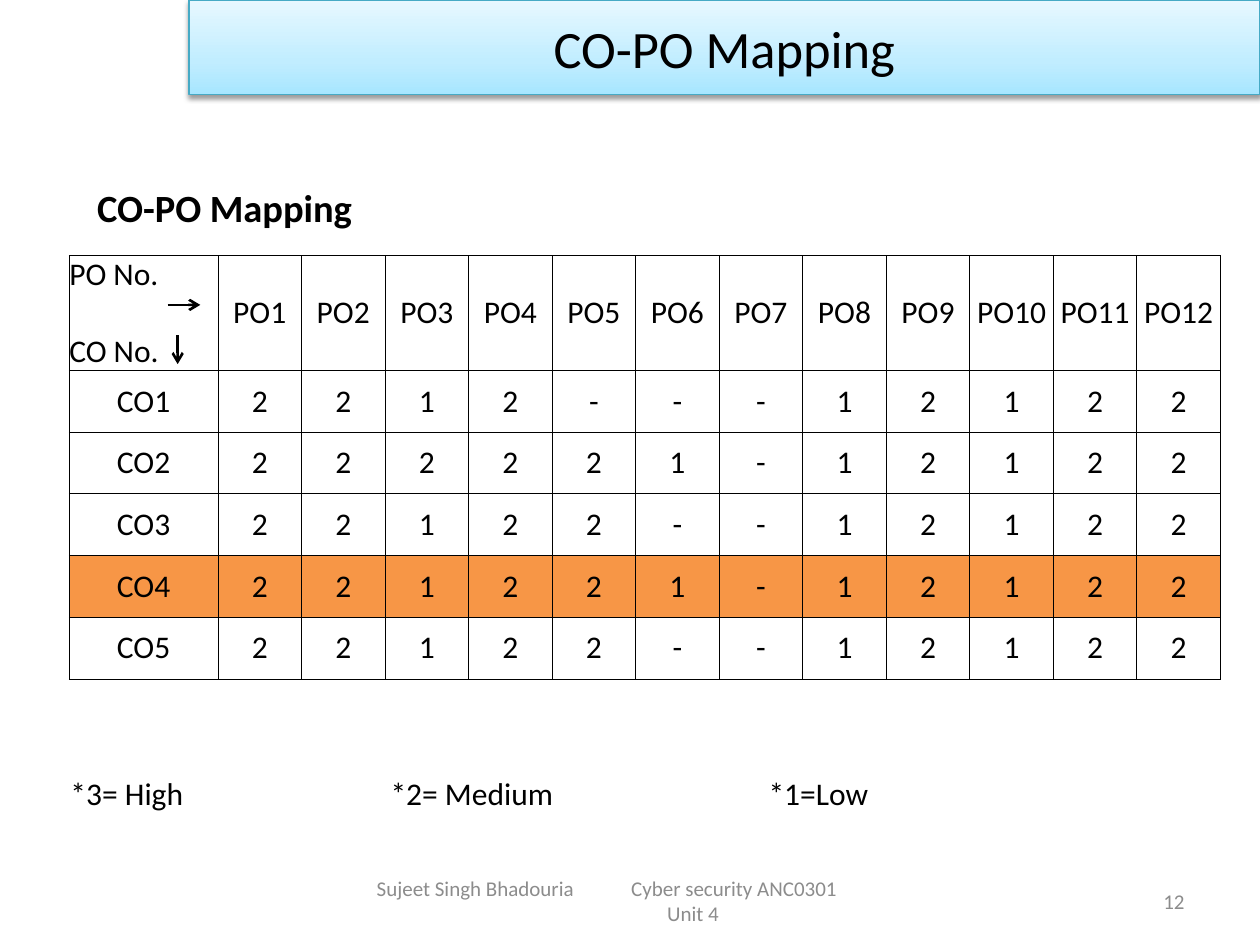
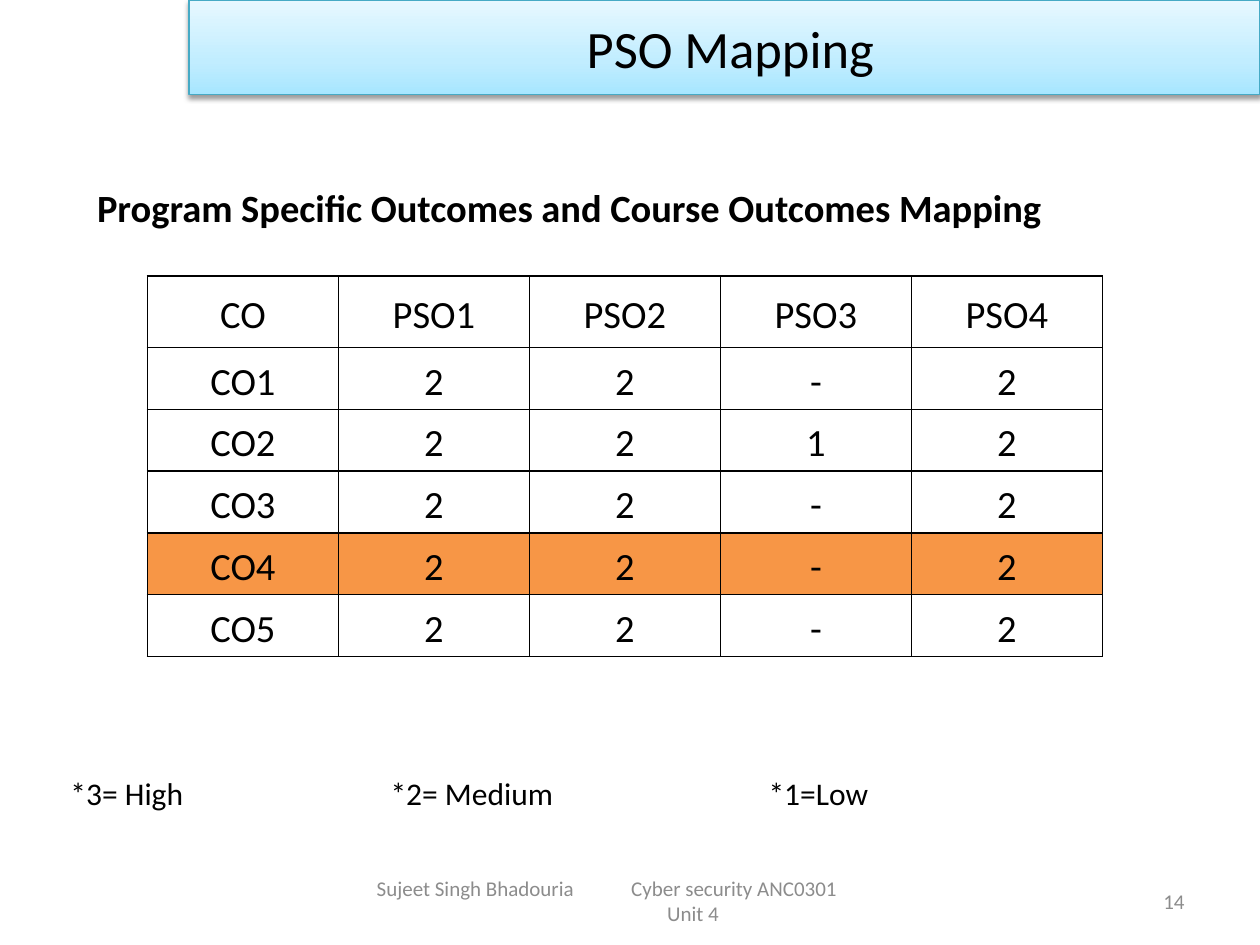
from lxml.etree import SubElement
from pptx import Presentation
from pptx.dml.color import RGBColor
from pptx.enum.shapes import MSO_CONNECTOR, MSO_SHAPE
from pptx.enum.text import MSO_ANCHOR, PP_ALIGN
from pptx.oxml.ns import qn
from pptx.util import Inches, Pt

COLOURS = {
    "text": "000000",
    "footer": "8C8C8C",
    "row": "FFFFFF",
    "current_row": "F79646",
    "band_line": "46AAC5",
    "band_bottom": "A7E6FF",
    "band_middle": "C1EDFF",
    "band_top": "E7F8FF",
    "shadow": "000000",
}
STYLES = {
    "title": {"size": Pt(30)},
    "subtitle": {"size": Pt(22), "bold": True},
    "legend": {"size": Pt(18)},
    "footer": {"size": Pt(12)},
    "po_table": {"size": Pt(18)},
    "pso_table": {"size": Pt(22)},
}
CENTRED = {"alignment": PP_ALIGN.CENTER}
CURRENT_OUTCOME = "CO4"
PO_ROWS = [
    ["PO No.\nCO No."] + [f"PO{number}" for number in range(1, 13)],
    "CO1 2 2 1 2 - - - 1 2 1 2 2".split(),
    "CO2 2 2 2 2 2 1 - 1 2 1 2 2".split(),
    "CO3 2 2 1 2 2 - - 1 2 1 2 2".split(),
    "CO4 2 2 1 2 2 1 - 1 2 1 2 2".split(),
    "CO5 2 2 1 2 2 - - 1 2 1 2 2".split(),
]
PSO_ROWS = [
    "CO PSO1 PSO2 PSO3 PSO4".split(),
    "CO1 2 2 - 2".split(),
    "CO2 2 2 1 2".split(),
    "CO3 2 2 - 2".split(),
    "CO4 2 2 - 2".split(),
    "CO5 2 2 - 2".split(),
]


def rgb(name):
    """Return the named colour."""
    return RGBColor.from_string(COLOURS[name])


def apply_format(target, values):
    """Set every attribute in values on target."""
    for name, value in values.items():
        setattr(target, name, value)


def add_node(parent, tag, **attributes):
    """Append a drawing element to parent."""
    return SubElement(parent, qn(tag), {key: str(value) for key, value in attributes.items()})


def add_colour(parent, name):
    """Append a colour element to parent."""
    return add_node(parent, "a:srgbClr", val=COLOURS[name])


def write_paragraph(paragraph, text, style, colour="text", layout=None):
    """Fill a paragraph with one styled run."""
    run = paragraph.add_run()
    run.text = text
    apply_format(run.font, {"name": "Calibri", **STYLES[style]})
    run.font.color.rgb = rgb(colour)
    apply_format(paragraph, layout or {})


def add_text(slide, text, box, style, colour="text", layout=None, frame_format=None):
    """Add a wrapped, vertically centred text box and return its first paragraph."""
    frame = slide.shapes.add_textbox(*map(Inches, box)).text_frame
    apply_format(frame, {
        "word_wrap": True,
        "vertical_anchor": MSO_ANCHOR.MIDDLE,
        **(frame_format or {}),
    })
    write_paragraph(frame.paragraphs[0], text, style, colour, layout)
    return frame.paragraphs[0]


def add_tab_stops(paragraph, positions):
    """Give a paragraph left tab stops at positions in inches."""
    tab_list = add_node(paragraph._p.get_or_add_pPr(), "a:tabLst")
    for position in positions:
        add_node(tab_list, "a:tab", pos=Inches(position), algn="l")


def add_title_band(slide, title):
    """Add the gradient title band with its soft shadow."""
    band = slide.shapes.add_shape(
        MSO_SHAPE.RECTANGLE, Inches(1.5), 0, Inches(8.5), Inches(0.75))
    band.fill.gradient()
    band.fill.gradient_angle = 90
    stops = band._element.spPr.find(qn("a:gradFill")).find(qn("a:gsLst"))
    stops.clear()
    for percent, name in ((0, "band_bottom"), (35, "band_middle"), (100, "band_top")):
        add_colour(add_node(stops, "a:gs", pos=percent * 1000), name)
    band.line.color.rgb = rgb("band_line")
    band.line.width = Pt(0.75)
    band.shadow.inherit = False
    shadow = add_node(
        band._element.spPr.find(qn("a:effectLst")), "a:outerShdw",
        blurRad=Pt(3.1), dist=Pt(1.6), dir=90 * 60000, rotWithShape=0)
    add_node(add_colour(shadow, "shadow"), "a:alpha", val=38000)
    band.text_frame.vertical_anchor = MSO_ANCHOR.MIDDLE
    write_paragraph(band.text_frame.paragraphs[0], title, "title", layout=CENTRED)


def add_legend(slide):
    """Add the key to the mapping levels."""
    paragraph = add_text(
        slide, "*3= High\t*2= Medium\t*1=Low", (0, 6.09, 9.77, 0.4), "legend",
        frame_format={"margin_left": Inches(0.56)})
    add_tab_stops(paragraph, (2.54, 5.54))


def add_footer(slide, number):
    """Add the lecturer, course and unit line and the slide number."""
    add_text(slide, str(number), (7.17, 6.95, 2.33, 0.4), "footer", "footer",
             {"alignment": PP_ALIGN.RIGHT})
    margins = {"margin_left": Inches(0.24), "margin_right": Inches(0.24)}
    paragraph = add_text(
        slide, "Sujeet Singh Bhadouria\tCyber security ANC0301",
        (2.75, 6.95, 5.5, 0.4), "footer", "footer", frame_format=margins)
    add_tab_stops(paragraph, (2.02,))
    unit = paragraph._parent.add_paragraph()
    write_paragraph(unit, "Unit 4", "footer", "footer", CENTRED)


def add_mapping_slide(presentation, title, subtitle, number):
    """Add a slide with everything the mapping slides share."""
    slide = presentation.slides.add_slide(presentation.slide_layouts[6])
    add_title_band(slide, title)
    add_legend(slide)
    add_text(slide, subtitle, (0.47, 1.41, 8.52, 0.42), "subtitle",
             frame_format={"margin_left": Inches(0.3), "margin_bottom": 0})
    add_footer(slide, number)
    return slide


def add_borders(cell, width):
    """Draw a line on all four sides of a cell."""
    properties = cell._tc.get_or_add_tcPr()
    for side in ("a:lnL", "a:lnR", "a:lnT", "a:lnB"):
        line = add_node(properties, side, w=Pt(width))
        add_colour(add_node(line, "a:solidFill"), "text")


def fill_cell(cell, text, style, fill, border, margin, layout):
    """Format a cell and write its lines as paragraphs."""
    apply_format(cell, {
        "margin_left": Inches(margin), "margin_right": Inches(margin),
        "margin_top": 0, "margin_bottom": 0,
        "vertical_anchor": MSO_ANCHOR.MIDDLE,
    })
    add_borders(cell, border)
    cell.fill.solid()
    cell.fill.fore_color.rgb = rgb(fill)
    frame = cell.text_frame
    for index, line in enumerate(text.split("\n")):
        paragraph = frame.add_paragraph() if index else frame.paragraphs[0]
        write_paragraph(paragraph, line, style, layout=layout)


def add_mapping_table(slide, rows, corner, widths, heights, style, border, margin=0, layout=None):
    """Add a mapping table with the current outcome highlighted."""
    table = slide.shapes.add_table(
        len(rows), len(widths), *map(Inches, (*corner, sum(widths), sum(heights)))).table
    apply_format(table, {"first_row": False, "horz_banding": False})
    for column, width in zip(table.columns, widths):
        column.width = Inches(width)
    for row, height, values in zip(table.rows, heights, rows):
        row.height = Inches(height)
        fill = "current_row" if values[0] == CURRENT_OUTCOME else "row"
        for cell, value in zip(row.cells, values):
            fill_cell(cell, value, style, fill, border, margin, {**CENTRED, **(layout or {})})
    return table


def add_arrow(slide, start, end):
    """Add a thin arrow from start to end."""
    arrow = slide.shapes.add_connector(
        MSO_CONNECTOR.STRAIGHT, *map(Inches, (*start, *end)))
    arrow.line.color.rgb = rgb("text")
    arrow.line.width = Pt(1.5)
    add_node(arrow.line._get_or_add_ln(), "a:tailEnd", type="arrow")
    add_node(arrow._element.spPr, "a:effectLst")


def add_po_mapping(presentation):
    """Add the slide that maps course outcomes to programme outcomes."""
    slide = add_mapping_slide(presentation, "CO-PO Mapping", "CO-PO Mapping", 12)
    widths = [1.18] + [(9.14 - 1.18) / 12] * 12
    table = add_mapping_table(
        slide, PO_ROWS, (0.55, 2.03), widths, [0.91] + [0.49] * 5, "po_table", 0.5)
    po_label, co_label = table.cell(0, 0).text_frame.paragraphs
    for label in (po_label, co_label):
        label.alignment = PP_ALIGN.LEFT
    co_label.space_before = Pt(22)
    add_arrow(slide, (1.33, 2.42), (1.59, 2.42))
    add_arrow(slide, (1.41, 2.66), (1.41, 2.89))


def add_pso_mapping(presentation):
    """Add the slide that maps course outcomes to programme specific outcomes."""
    slide = add_mapping_slide(
        presentation, " PSO Mapping",
        "Program Specific Outcomes and Course Outcomes Mapping", 14)
    add_mapping_table(
        slide, PSO_ROWS, (1.17, 2.19), [7.58 / 5] * 5, [0.57] + [0.49] * 5,
        "pso_table", 1, 0.07, {"line_spacing": 1.15})


def main():
    """Build and save the mapping slides."""
    presentation = Presentation()
    apply_format(presentation, {"slide_width": Inches(10), "slide_height": Inches(7.5)})
    add_po_mapping(presentation)
    add_pso_mapping(presentation)
    presentation.save("out.pptx")


if __name__ == "__main__":
    main()
